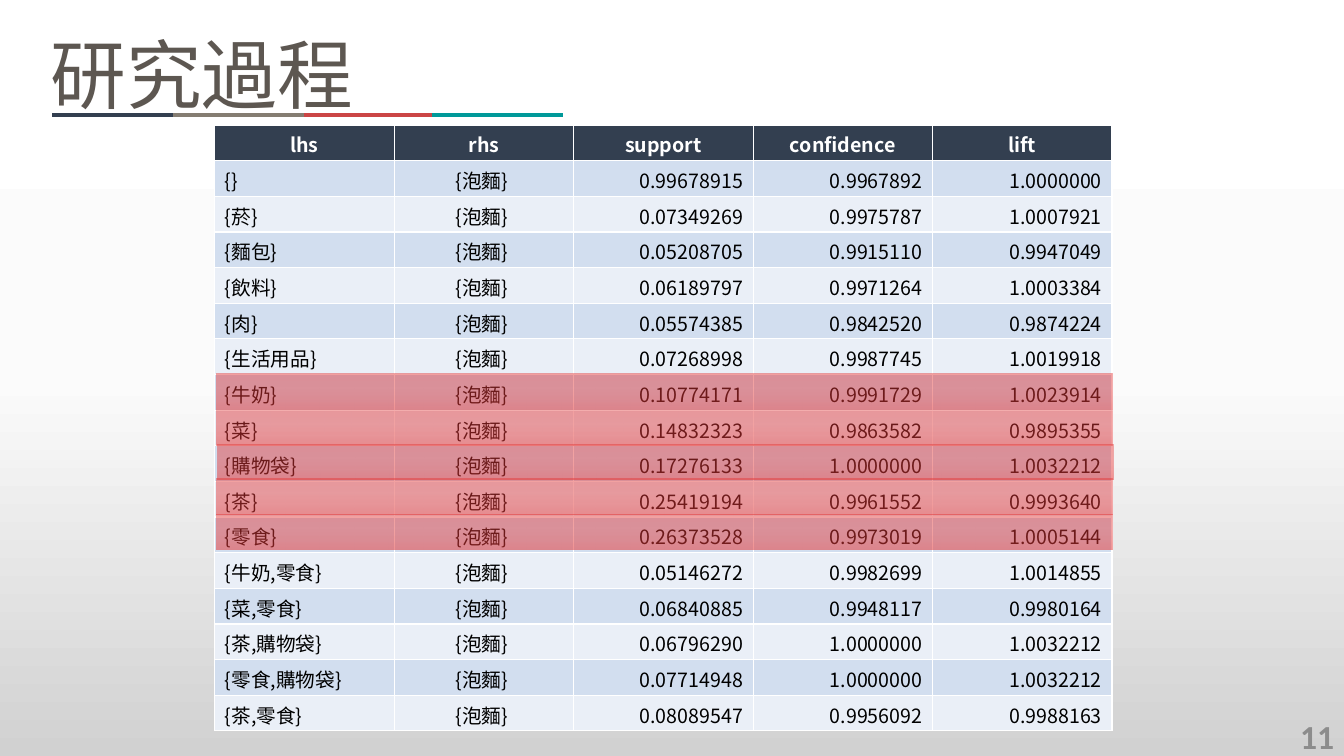
from lxml import etree
from pptx import Presentation
from pptx.dml.color import RGBColor
from pptx.enum.shapes import MSO_CONNECTOR, MSO_SHAPE
from pptx.enum.text import MSO_ANCHOR, PP_ALIGN
from pptx.oxml.ns import qn
from pptx.util import Inches, Pt

LEFT, CENTER, RIGHT = PP_ALIGN.LEFT, PP_ALIGN.CENTER, PP_ALIGN.RIGHT
TOP, MIDDLE = MSO_ANCHOR.TOP, MSO_ANCHOR.MIDDLE
STRAIGHT = MSO_CONNECTOR.STRAIGHT
RECTANGLE = MSO_SHAPE.RECTANGLE

CJK_FONT = "Noto Sans CJK SC"
NAVY = "333F50"
BANDS = ["D2DEEF", "EAEFF7"]
BACKGROUND = [(0, "FFFFFF", 100), (50, "FBFBFB", 100), (100, "D1D1D1", 100)]
HIGHLIGHT = [(0, "E43838", 47), (40, "E43838", 46),
             (70, "E43838", 49), (100, "E43838", 54)]
UNDERLINE = [(3.01, "CB4545"), (0.52, NAVY), (1.72, "857D72"), (4.28, "009999")]

TABLE_LEFT, TABLE_TOP, TABLE_WIDTH, TABLE_HEIGHT = 2.13, 1.24, 8.9, 6.01
HIGHLIGHTED_ROWS = [(2.15, 3.71), (2.15, 4.75), (2.15, 4.07),
                    (2.15, 5.1), (2.16, 4.41)]
HEADERS = ["lhs", "rhs", "support", "confidence", "lift"]
ALIGNMENTS = [LEFT, CENTER, RIGHT, RIGHT, RIGHT]
RHS = "{泡麵} "
RULES = [
    ("{}", "0.99678915", "0.9967892", "1.0000000"),
    ("{菸}", "0.07349269", "0.9975787", "1.0007921"),
    ("{麵包}", "0.05208705", "0.9915110", "0.9947049"),
    ("{飲料}", "0.06189797", "0.9971264", "1.0003384"),
    ("{肉}", "0.05574385", "0.9842520", "0.9874224"),
    ("{生活用品}", "0.07268998", "0.9987745", "1.0019918"),
    ("{牛奶}", "0.10774171", "0.9991729", "1.0023914"),
    ("{菜}", "0.14832323", "0.9863582", "0.9895355"),
    ("{購物袋}", "0.17276133", "1.0000000", "1.0032212"),
    ("{茶}", "0.25419194", "0.9961552", "0.9993640"),
    ("{零食}", "0.26373528", "0.9973019", "1.0005144"),
    ("{牛奶,零食}", "0.05146272", "0.9982699", "1.0014855"),
    ("{菜,零食}", "0.06840885", "0.9948117", "0.9980164"),
    ("{茶,購物袋}", "0.06796290", "1.0000000", "1.0032212"),
    ("{零食,購物袋}", "0.07714948", "1.0000000", "1.0032212"),
    ("{茶,零食}", "0.08089547", "0.9956092", "0.9988163"),
]


def color(hex_code):
    return RGBColor.from_string(hex_code)


def write_text(frame, text, size=14, font=CJK_FONT, hex_code="000000",
               bold=False, align=LEFT):
    paragraph = frame.paragraphs[0]
    paragraph.alignment = align
    run = paragraph.add_run()
    run.text = text
    run.font.size = Pt(size)
    run.font.name = font
    run.font.bold = bold
    run.font.color.rgb = color(hex_code)
    # East Asian characters take their font from a separate element
    east_asian = etree.SubElement(run.font._element, qn("a:ea"))
    east_asian.set("typeface", font)


def fill_gradient(fill, holder, stops):
    """Give holder a top-to-bottom gradient of (position, colour, opacity)."""
    fill.solid()
    gradient = etree.Element(qn("a:gradFill"), rotWithShape="1")
    stop_list = etree.SubElement(gradient, qn("a:gsLst"))
    for position, hex_code, opacity in stops:
        stop = etree.SubElement(stop_list, qn("a:gs"), pos=str(position * 1000))
        tint = etree.SubElement(stop, qn("a:srgbClr"), val=hex_code)
        if opacity < 100:
            etree.SubElement(tint, qn("a:alpha"), val=str(opacity * 1000))
    etree.SubElement(gradient, qn("a:lin"), ang="5400000", scaled="0")
    holder.replace(holder.find(qn("a:solidFill")), gradient)


def add_underline(slide, left, hex_code):
    line = slide.shapes.add_connector(
        STRAIGHT, Inches(left), Inches(1.14), Inches(left + 1.3), Inches(1.14))
    line.line.color.rgb = color(hex_code)
    line.line.width = Pt(3)
    etree.SubElement(line.element.spPr, qn("a:effectLst"))


def add_title(slide, text):
    title = slide.shapes.title
    title.left, title.top = Inches(0.4), Inches(0.22)
    title.width, title.height = Inches(3.23), Inches(1.01)
    title.text_frame.word_wrap = False
    title.text_frame.vertical_anchor = MIDDLE
    write_text(title.text_frame, text, size=54, hex_code="5D5751")


def fill_cell(cell, text, fill, **text_format):
    cell.fill.solid()
    cell.fill.fore_color.rgb = color(fill)
    cell.vertical_anchor = TOP
    cell.margin_top, cell.margin_bottom = Inches(0.05), Inches(0.02)
    write_text(cell.text_frame, text, **text_format)


def add_rules_table(slide):
    row_count = len(RULES) + 1
    table = slide.shapes.add_table(
        row_count, len(HEADERS), Inches(TABLE_LEFT), Inches(TABLE_TOP),
        Inches(TABLE_WIDTH), Inches(TABLE_HEIGHT)).table
    for row in table.rows:
        row.height = Inches(TABLE_HEIGHT / row_count)
    for column, header in enumerate(HEADERS):
        fill_cell(table.cell(0, column), header, NAVY,
                  hex_code="FFFFFF", bold=True, align=CENTER)
    for row, (lhs, *measures) in enumerate(RULES, start=1):
        for column, value in enumerate([lhs, RHS, *measures]):
            fill_cell(table.cell(row, column), value, BANDS[(row - 1) % 2],
                      align=ALIGNMENTS[column])


def add_highlight(slide, left, top):
    highlight = slide.shapes.add_shape(
        RECTANGLE, Inches(left), Inches(top), Inches(8.88), Inches(0.35))
    highlight.shadow.inherit = False
    highlight.line.fill.background()
    fill_gradient(highlight.fill, highlight.element.spPr, HIGHLIGHT)


def add_page_number(slide, number):
    page = slide.shapes.add_textbox(
        Inches(10.33), Inches(7.1), Inches(3), Inches(0.4))
    page.text_frame.word_wrap = True
    page.text_frame.vertical_anchor = MIDDLE
    write_text(page.text_frame, number, size=24, font="Calibri",
               hex_code="8C8C8C", bold=True, align=RIGHT)


def main():
    deck = Presentation()
    deck.slide_width, deck.slide_height = Inches(13.33), Inches(7.5)
    slide = deck.slides.add_slide(deck.slide_layouts[5])

    # Background
    background = slide.background.fill
    background.solid()
    fill_gradient(background, slide.element.find(".//" + qn("p:bgPr")), BACKGROUND)

    # Title with its four-colour underline
    for left, hex_code in UNDERLINE:
        add_underline(slide, left, hex_code)
    add_title(slide, "研究過程")

    # Association rules, with the notable rows highlighted
    add_rules_table(slide)
    for left, top in HIGHLIGHTED_ROWS:
        add_highlight(slide, left, top)

    add_page_number(slide, "11")
    deck.save("out.pptx")


if __name__ == "__main__":
    main()
